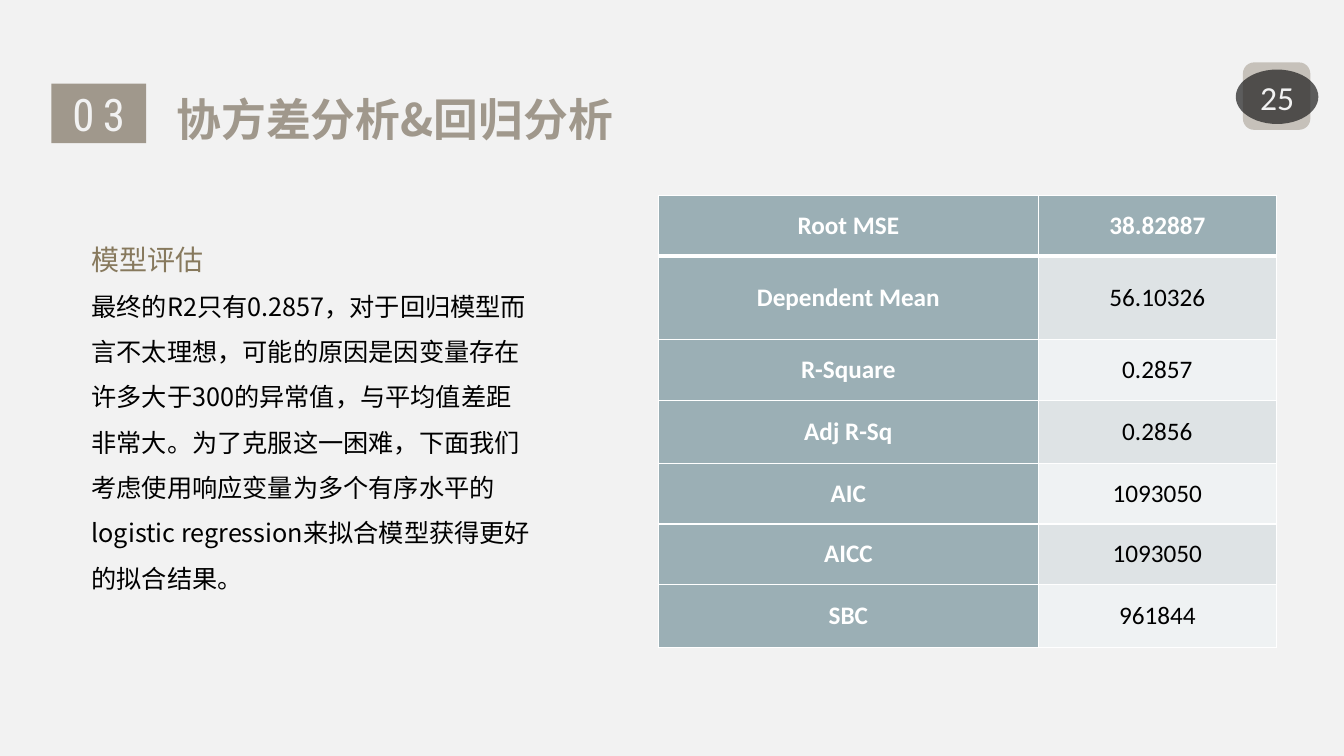
from lxml.etree import SubElement
from pptx import Presentation
from pptx.dml.color import RGBColor
from pptx.enum.shapes import MSO_SHAPE
from pptx.enum.text import MSO_ANCHOR, MSO_AUTO_SIZE, PP_ALIGN
from pptx.oxml.ns import qn
from pptx.util import Pt

COLORS = {"page": "F2F2F2", "taupe": "A0988C", "badge": "C6C1BA", "dark": "1D1D1D",
          "brown": "87795D", "black": "000000", "white": "FFFFFF",
          "head": "9BAFB5", "band1": "DEE3E5", "band2": "EFF2F3"}
CJK = "Noto Sans CJK SC"


def paint(fill, color):
    fill.solid()
    fill.fore_color.rgb = RGBColor.from_string(COLORS[color])


def write(p, text, color, size, font, bold=False, align=PP_ALIGN.LEFT, spacing=1.0):
    p.alignment, p.line_spacing = align, spacing
    r = p.add_run()
    r.text = text
    for name, value in {"size": Pt(size), "name": font, "bold": bold}.items():
        setattr(r.font, name, value)
    r.font.color.rgb = RGBColor.from_string(COLORS[color])
    SubElement(r.font._element, qn("a:ea"), typeface=font)
    return r


prs = Presentation()
prs.slide_width, prs.slide_height = Pt(960), Pt(540)
s = prs.slides.add_slide(prs.slide_layouts[5])
paint(s.background.fill, "page")

# Title
title = s.shapes.title
title.left, title.top, title.width, title.height = Pt(118.8), Pt(54), Pt(361.4), Pt(54)
tf = title.text_frame
for name, value in {"word_wrap": True, "auto_size": MSO_AUTO_SIZE.NONE,
                    "vertical_anchor": MSO_ANCHOR.TOP}.items():
    setattr(tf, name, value)
write(tf.paragraphs[0], "协方差分析&回归分析", "taupe", 32, CJK, True, spacing=1.2)

# Section number and page badge
badges = {}
for name, kind, box, color in [
        ("section", MSO_SHAPE.RECTANGLE, (36.7, 59.8, 67.7, 42.5), "taupe"),
        ("backing", MSO_SHAPE.ROUNDED_RECTANGLE, (887.8, 44.6, 48.2, 48.2), "badge"),
        ("page", MSO_SHAPE.OVAL, (882.7, 49.7, 59, 38.9), "dark")]:
    sp = badges[name] = s.shapes.add_shape(kind, *map(Pt, box))
    sp.shadow.inherit = False
    sp.line.fill.background()
    paint(sp.fill, color)
    sp.text_frame.vertical_anchor = MSO_ANCHOR.MIDDLE

r = write(badges["section"].text_frame.paragraphs[0], "03", "page", 32,
          "Roboto Condensed", align=PP_ALIGN.CENTER)
r.font._element.set("spc", "600")

page = badges["page"]
page.text_frame.margin_left = page.text_frame.margin_right = Pt(1.4)
write(page.text_frame.paragraphs[0], "25", "page", 24, "Calibri", align=PP_ALIGN.CENTER)
fill_color = page._element.spPr.find(qn("a:solidFill"))[0]
SubElement(fill_color, qn("a:alpha"), val="70000")

# Fit statistics table
STATS = [("Root MSE", "38.82887", 43.2), ("Dependent Mean", "56.10326", 59.6),
         ("R-Square", "0.2857", 43.4), ("Adj R-Sq", "0.2856", 45.2),
         ("AIC", "1093050", 43.2), ("AICC", "1093050", 43.2), ("SBC", "961844", 45.2)]
table = s.shapes.add_table(len(STATS), 2, Pt(470.3), Pt(139.7), Pt(441.4), Pt(323)).table
for col, width in zip(table.columns, (271.4, 170)):
    col.width = Pt(width)
for i, (label, figure, height) in enumerate(STATS):
    table.rows[i].height = Pt(height)
    for j, text in enumerate((label, figure)):
        cell = table.cell(i, j)
        heading = i == 0 or j == 0
        for name, value in {"margin_left": Pt(17.3), "margin_right": Pt(17.3),
                            "margin_top": 0, "margin_bottom": 0,
                            "vertical_anchor": MSO_ANCHOR.MIDDLE}.items():
            setattr(cell, name, value)
        for side in "LRTB":
            thick = (i, side) in ((0, "B"), (1, "T"))
            ln = SubElement(cell._tc.tcPr, qn(f"a:ln{side}"), w=str(Pt(3 if thick else 1)))
            SubElement(SubElement(ln, qn("a:solidFill")), qn("a:srgbClr"), val=COLORS["white"])
        paint(cell.fill, "head" if heading else "band1" if i % 2 else "band2")
        write(cell.text_frame.paragraphs[0], text, "white" if heading else "black", 18,
              "Calibri", heading, PP_ALIGN.CENTER)

# Model assessment
tf = s.shapes.add_textbox(Pt(58.3), Pt(157.7), Pt(328.3), Pt(269.3)).text_frame
tf.word_wrap = True
tf.vertical_anchor = MSO_ANCHOR.MIDDLE
write(tf.paragraphs[0], "模型评估", "brown", 20, CJK, spacing=1.5)
write(tf.add_paragraph(),
      "最终的R2只有0.2857，对于回归模型而言不太理想，可能的原因是因变量存在许多大于300的异常值，"
      "与平均值差距非常大。为了克服这一困难，下面我们考虑使用响应变量为多个有序水平的"
      "logistic regression来拟合模型获得更好的拟合结果。",
      "black", 18, CJK, spacing=1.5)

prs.save("out.pptx")
